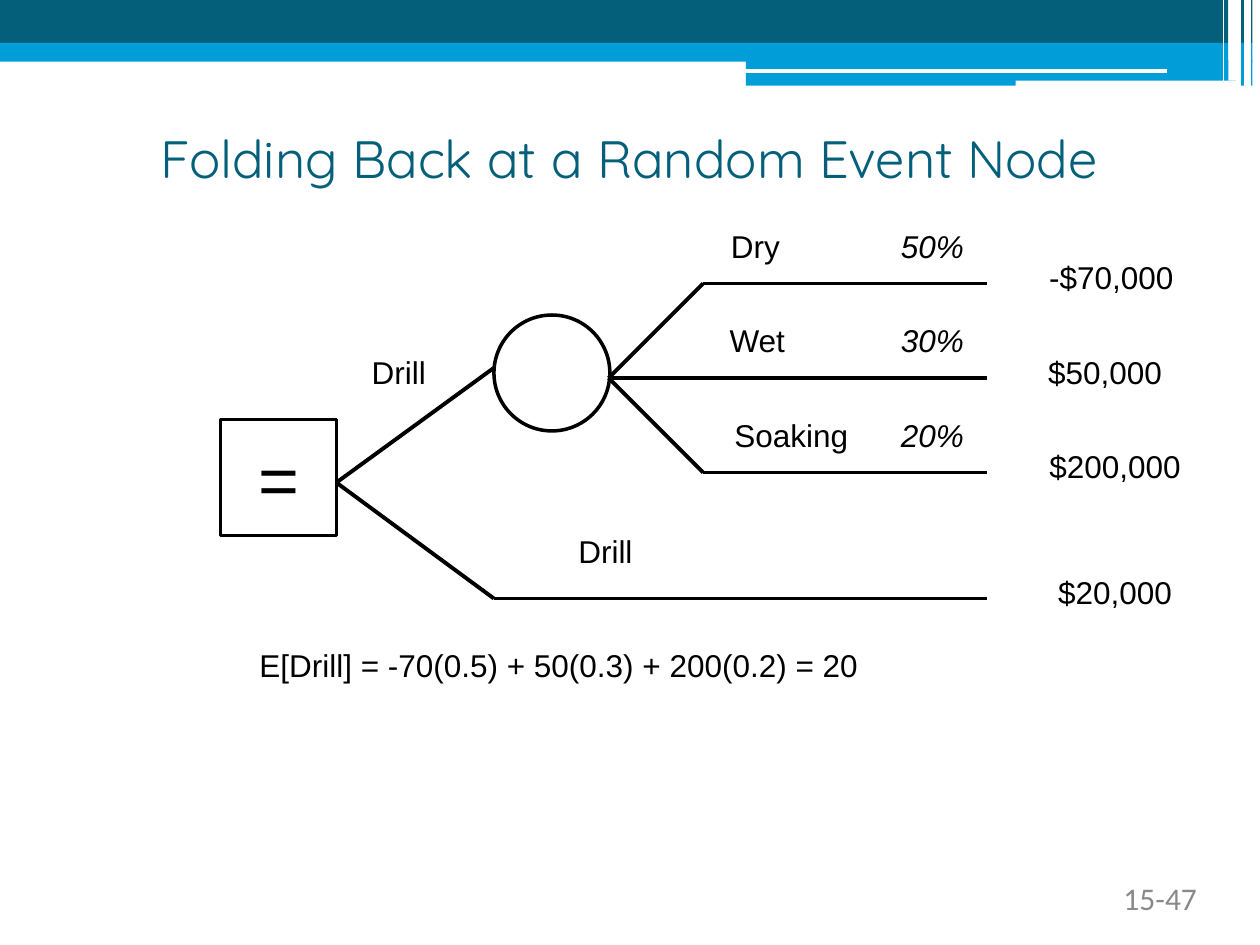
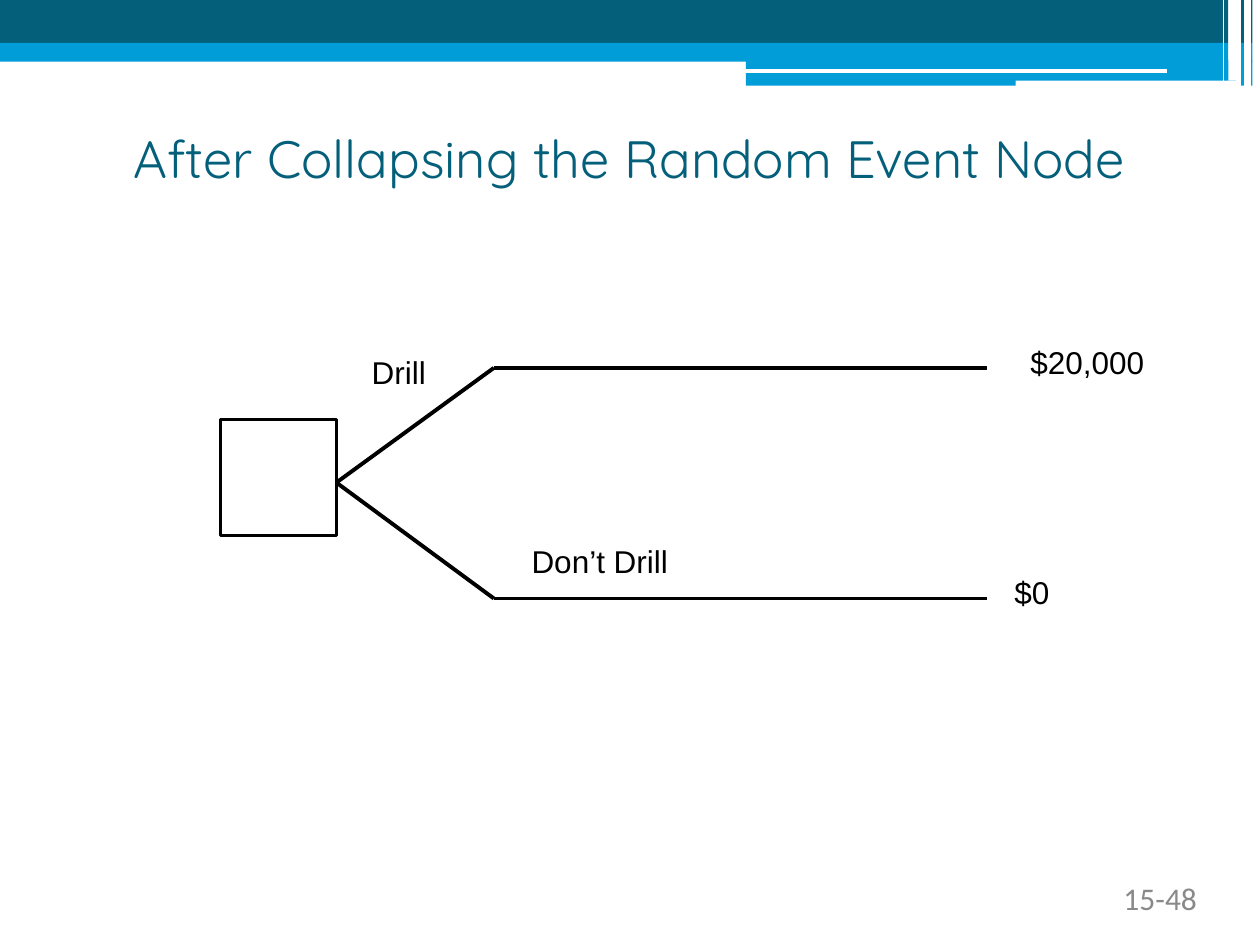
"""Build two decision-tree slides that fold back a random event node."""
from dataclasses import dataclass
from typing import NamedTuple

from lxml.etree import SubElement
from pptx import Presentation
from pptx.dml.color import RGBColor
from pptx.enum.shapes import MSO_CONNECTOR, MSO_SHAPE
from pptx.enum.text import MSO_ANCHOR, MSO_AUTO_SIZE, PP_ALIGN
from pptx.oxml.ns import qn
from pptx.shapes.autoshape import Shape
from pptx.slide import Slide
from pptx.text.text import TextFrame
from pptx.util import Emu, Pt

EMU_PER_PX = 9144


class TextStyle(NamedTuple):
    font: str
    size: int
    color: str
    align: PP_ALIGN = PP_ALIGN.CENTER
    space_before: float = 0
    margins: tuple[int, int] = (0, 0)
    wrap: bool = True


@dataclass(frozen=True)
class Theme:
    dark: str = "04607A"
    bright: str = "009DD9"
    paper: str = "FFFFFF"
    ink: str = "000000"
    node_line: float = 2
    branch_line: float = 2.25
    title: TextStyle = TextStyle("Quicksand", 30, "04607A")
    label: TextStyle = TextStyle("Arial", 18, "000000", space_before=4.5, margins=(7, 5), wrap=False)
    symbol: TextStyle = TextStyle("Arial", 40, "000000", space_before=10, margins=(10, 5), wrap=False)
    number: TextStyle = TextStyle("Calibri", 18, "898989", PP_ALIGN.RIGHT)


THEME = Theme()


class Box(NamedTuple):
    left: int
    top: int
    width: int
    height: int


class Point(NamedTuple):
    x: int
    y: int


class Band(NamedTuple):
    box: Box
    color: str


class Stripe(NamedTuple):
    start: Point
    end: Point
    weight: float


class Label(NamedTuple):
    text: str
    left: int
    top: int
    width: int
    italic: bool = False


class Outcome(NamedTuple):
    name: Label
    chance: str
    payoff: Label


BANDS = [
    Band(Box(0, 0, 975, 34), THEME.dark),
    Band(Box(981, 0, 13, 34), THEME.dark),
    Band(Box(0, 34, 975, 15), THEME.bright),
    Band(Box(981, 34, 13, 15), THEME.bright),
    Band(Box(592, 48, 402, 20), THEME.bright),
    Band(Box(806, 64, 175, 5), THEME.paper),
    Band(Box(975, 0, 6, 64), THEME.paper),
]
STRIPES = [
    Stripe(Point(591, 56), Point(926, 56), 2.27),
    Stripe(Point(991, 0), Point(991, 68), 2.98),
    Stripe(Point(988, 0), Point(988, 68), 1.05),
    Stripe(Point(983, 0), Point(983, 68), 2.98),
    Stripe(Point(971, 0), Point(971, 64), 1.05),
]

TITLE_BOX = Box(56, 100, 887, 51)
NUMBER_BOX = Box(720, 698, 230, 31)
LABEL_HEIGHT = 40
DECISION_BOX = Box(175, 333, 92, 92)
EVENT_BOX = Box(392, 250, 92, 92)
DECISION_EXIT = Point(267, 383)
EVENT_EXIT = Point(483, 300)
DRILL_BEND = Point(392, 292)
NO_DRILL_BEND = Point(392, 475)
EVENT_BEND_X = 558
BRANCH_END_X = 783
DRILL_LABEL = Label("Drill", 285, 275, 63)

FIRST_OUTCOME_Y, OUTCOME_STEP = 225, 75
CHANCE_LEFT, CHANCE_WIDTH = 705, 70
NAME_RISE, PAYOFF_RISE = 50, 25


def outcome(row: int, name: str, name_left: int, name_width: int,
            chance: str, payoff: str, payoff_left: int, payoff_width: int) -> Outcome:
    """Place one outcome's texts around its row's branch."""
    y = FIRST_OUTCOME_Y + row * OUTCOME_STEP
    return Outcome(Label(name, name_left, y - NAME_RISE, name_width), chance,
                   Label(payoff, payoff_left, y - PAYOFF_RISE, payoff_width))


OUTCOMES = [
    outcome(0, "Dry", 570, 59, "50%", "-$70,000", 823, 118),
    outcome(1, "Wet", 569, 64, "30%", "$50,000", 822, 110),
    outcome(2, "Soaking", 573, 110, "20%", "$200,000", 823, 124),
]
FOLDING_LABELS = [
    DRILL_LABEL,
    Label("$20,000", 830, 450, 110),
    Label("E[Drill] = -70(0.5) + 50(0.3) + 200(0.2) = 20", 196, 508, 495),
    Label("Drill", 449, 417, 63),
]
COLLAPSED_LABELS = [
    DRILL_LABEL,
    Label("$20,000", 808, 267, 110),
    Label("$0", 795, 450, 48),
    Label("Don’t Drill", 412, 425, 128),
]


def px(length: int) -> Emu:
    """Turn px into EMU."""
    return Emu(length * EMU_PER_PX)


def rgb(color: str) -> RGBColor:
    """Turn a hex string into a colour."""
    return RGBColor.from_string(color)


def write(frame: TextFrame, text: str, style: TextStyle, italic: bool = False) -> None:
    """Fill a text frame with one styled paragraph."""
    frame.text = text
    frame.word_wrap = style.wrap
    frame.margin_left = frame.margin_right = px(style.margins[0])
    frame.margin_top = frame.margin_bottom = px(style.margins[1])
    paragraph = frame.paragraphs[0]
    paragraph.alignment = style.align
    paragraph.space_before = Pt(style.space_before)
    font = paragraph.runs[0].font
    font.name, font.size, font.italic = style.font, Pt(style.size), italic
    font.color.rgb = rgb(style.color)


def draw_text(slide: Slide, box: Box, text: str, style: TextStyle, italic: bool = False) -> None:
    """Add a text box that grows with its text."""
    frame = slide.shapes.add_textbox(*map(px, box)).text_frame
    write(frame, text, style, italic)
    frame.auto_size = MSO_AUTO_SIZE.SHAPE_TO_FIT_TEXT


def draw_label(slide: Slide, label: Label) -> None:
    """Add one label of the tree."""
    box = Box(label.left, label.top, label.width, LABEL_HEIGHT)
    draw_text(slide, box, label.text, THEME.label, label.italic)


def draw_line(slide: Slide, start: Point, end: Point, color: str, weight: float) -> None:
    """Add a straight line without a shadow."""
    line = slide.shapes.add_connector(MSO_CONNECTOR.STRAIGHT, *map(px, (*start, *end)))
    line.line.color.rgb = rgb(color)
    line.line.width = Pt(weight)
    SubElement(line._element.spPr, qn("a:effectLst"))


def draw_branch(slide: Slide, *points: Point) -> None:
    """Join successive points of a tree branch."""
    for start, end in zip(points, points[1:]):
        draw_line(slide, start, end, THEME.ink, THEME.branch_line)


def draw_band(slide: Slide, band: Band) -> None:
    """Add one filled rectangle of the header."""
    shape = slide.shapes.add_shape(MSO_SHAPE.RECTANGLE, *map(px, band.box))
    shape.shadow.inherit = False
    shape.fill.solid()
    shape.fill.fore_color.rgb = rgb(band.color)
    shape.line.fill.background()


def draw_node(slide: Slide, kind: MSO_SHAPE, box: Box) -> Shape:
    """Add one outlined node of the tree."""
    node = slide.shapes.add_shape(kind, *map(px, box))
    node.shadow.inherit = False
    node.fill.background()
    node.line.color.rgb = rgb(THEME.ink)
    node.line.width = Pt(THEME.node_line)
    return node


def start_slide(deck: Presentation, title: str, number: str) -> Slide:
    """Add a blank slide with header, title and number."""
    slide = deck.slides.add_slide(deck.slide_layouts[6])
    slide.background.fill.solid()
    slide.background.fill.fore_color.rgb = rgb(THEME.paper)
    for band in BANDS:
        draw_band(slide, band)
    for stripe in STRIPES:
        draw_line(slide, stripe.start, stripe.end, THEME.paper, stripe.weight)
    draw_text(slide, TITLE_BOX, title, THEME.title)
    draw_text(slide, NUMBER_BOX, number, THEME.number)
    return slide


def draw_decision(slide: Slide, labels: list[Label]) -> Shape:
    """Draw the decision node, its two choices and the labels."""
    decision = draw_node(slide, MSO_SHAPE.RECTANGLE, DECISION_BOX)
    draw_branch(slide, DECISION_EXIT, DRILL_BEND)
    draw_branch(slide, DECISION_EXIT, NO_DRILL_BEND, Point(BRANCH_END_X, NO_DRILL_BEND.y))
    for label in labels:
        draw_label(slide, label)
    return decision


def build_folding(deck: Presentation) -> None:
    """Build the slide with the random event node."""
    slide = start_slide(deck, "Folding Back at a Random Event Node", "15-47")
    decision = draw_decision(slide, FOLDING_LABELS)
    write(decision.text_frame, "=", THEME.symbol)
    decision.text_frame.vertical_anchor = MSO_ANCHOR.MIDDLE
    draw_node(slide, MSO_SHAPE.OVAL, EVENT_BOX)
    for row, result in enumerate(OUTCOMES):
        y = FIRST_OUTCOME_Y + row * OUTCOME_STEP
        bend, end = Point(EVENT_BEND_X, y), Point(BRANCH_END_X, y)
        if y == EVENT_EXIT.y:
            draw_branch(slide, EVENT_EXIT, end)
        else:
            draw_branch(slide, EVENT_EXIT, bend, end)
        draw_label(slide, result.name)
        draw_label(slide, Label(result.chance, CHANCE_LEFT, y - NAME_RISE, CHANCE_WIDTH, italic=True))
        draw_label(slide, result.payoff)


def build_collapsed(deck: Presentation) -> None:
    """Build the slide where the event node has become a value."""
    slide = start_slide(deck, "After Collapsing the Random Event Node", "15-48")
    draw_decision(slide, COLLAPSED_LABELS)
    draw_branch(slide, DRILL_BEND, Point(BRANCH_END_X, DRILL_BEND.y))


def main() -> None:
    """Build and save the presentation."""
    deck = Presentation()
    deck.slide_width, deck.slide_height = px(1000), px(750)
    build_folding(deck)
    build_collapsed(deck)
    deck.save("out.pptx")


if __name__ == "__main__":
    main()
